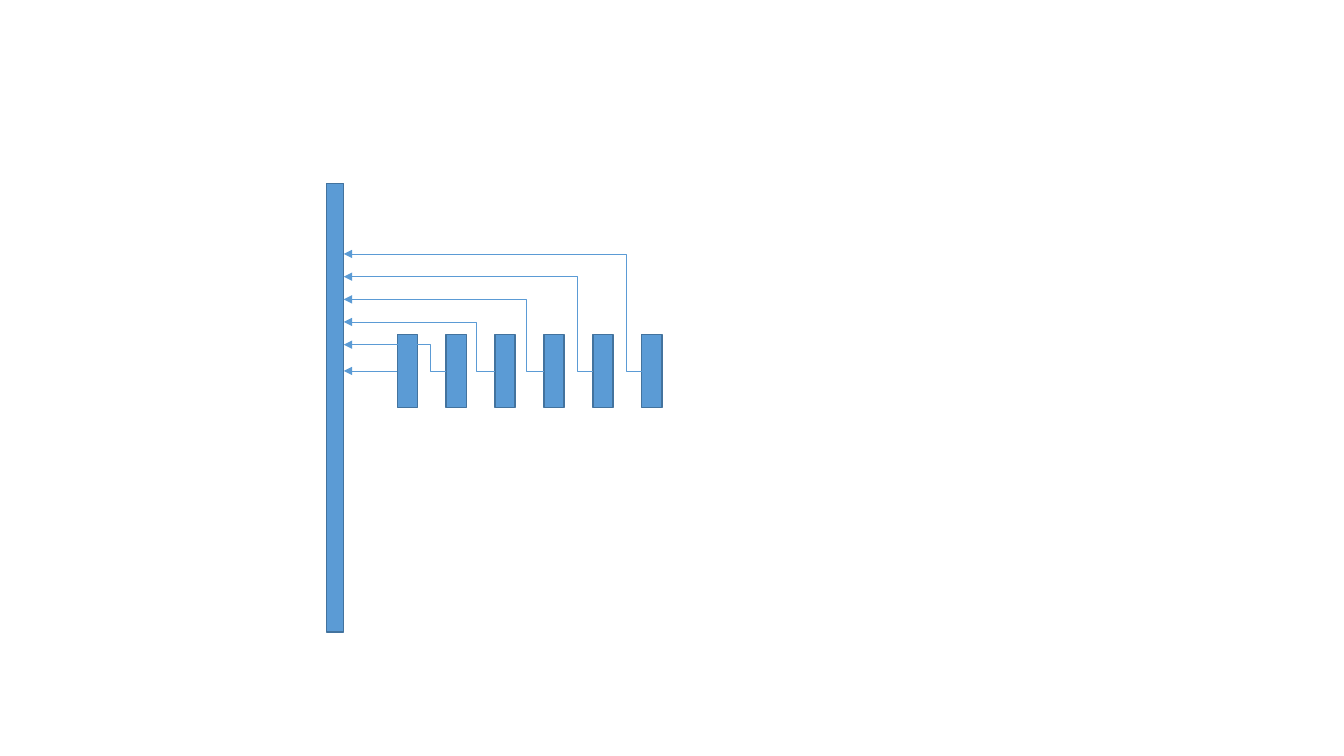
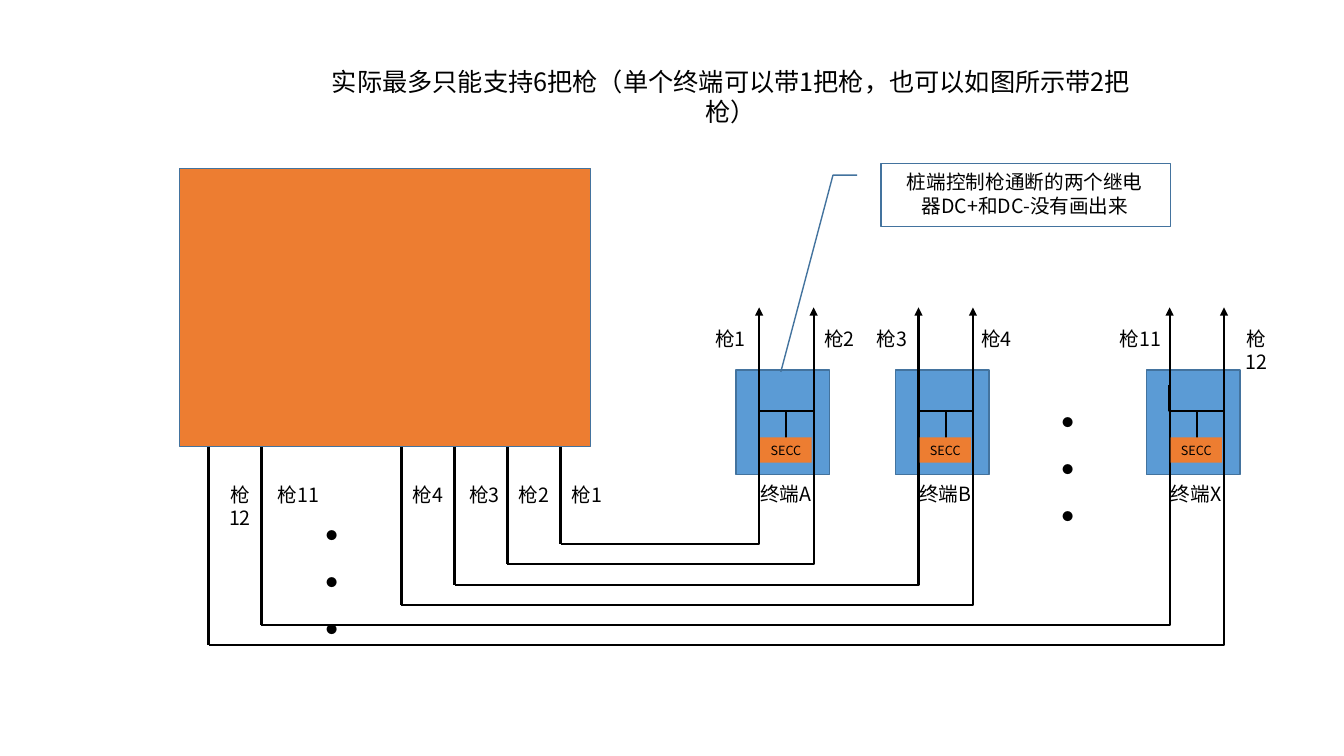
"""Build two slides: a bus with branch feeders and a charging cabinet with terminals."""
from collections import namedtuple
from dataclasses import dataclass

from pptx import Presentation
from pptx.dml.color import RGBColor
from pptx.enum import dml, shapes, text
from pptx.oxml import ns, xmlchemy
from pptx.util import Inches, Pt


@dataclass(frozen=True)
class Theme:
    """Colours, type sizes and line widths shared by the slides."""
    font: str = "Noto Sans CJK SC"
    ink: str = "000000"
    blue: str = "5B9BD5"
    edge: str = "43739E"
    orange: str = "ED7D31"
    title: int = 18
    label: int = 14
    small: int = 9
    dots: int = 28
    feeder: float = 0.5
    outline: float = 1
    wire: float = 1.5
    riser: float = 2.25


THEME = Theme()
Box = namedtuple("Box", "x y w h")
Gun = namedtuple("Gun", "name width port cabinet_label terminal_label")
Terminal = namedtuple("Terminal", "name x guns")

TERMINALS = (
    Terminal("终端A", 7.3, (
        Gun("枪1", 0.53, 3.78, 3.78, -0.32),
        Gun("枪2", 0.53, 3.25, 3.25, 0.76))),
    Terminal("终端B", 8.88, (
        Gun("枪3", 0.53, 2.73, 2.76, -0.3),
        Gun("枪4", 0.53, 2.2, 2.2, 0.74))),
    Terminal("终端X", 11.37, (
        Gun("枪11", 0.68, 0.81, 0.84, -0.4),
        Gun("枪12", 0.6, 0.29, 0.3, 0.79))),
)
TAPS = (0.23, 0.77)


def inches(*lengths):
    """Turn plain numbers into lengths."""
    return [Inches(length) for length in lengths]


def add_text(page, box, words, size=THEME.label, color=THEME.ink, bold=False, shape=None):
    """Write centred text in a new text box, or in the given shape."""
    holder = shape or page.shapes.add_textbox(*inches(*box))
    frame = holder.text_frame
    frame.word_wrap = True
    frame.auto_size = text.MSO_AUTO_SIZE.SHAPE_TO_FIT_TEXT
    para = frame.paragraphs[0]
    para.alignment = text.PP_ALIGN.CENTER
    span = para.add_run()
    span.text = words
    span.font.name = THEME.font
    span.font.size = Pt(size)
    span.font.bold = bold
    span.font.color.rgb = RGBColor.from_string(color)
    east_asian = xmlchemy.OxmlElement("a:ea")
    east_asian.set("typeface", THEME.font)
    span.font.fill
    span.font._element.find(ns.qn("a:latin")).addnext(east_asian)
    return holder


def add_block(page, box, fill=THEME.blue, edge=THEME.edge, kind=shapes.MSO_SHAPE.RECTANGLE):
    """Draw a preset shape; None leaves out its fill or outline."""
    block = page.shapes.add_shape(kind, *inches(*box))
    block.shadow.inherit = False
    if fill:
        block.fill.solid()
        block.fill.fore_color.rgb = RGBColor.from_string(fill)
    else:
        block.fill.background()
    if edge:
        block.line.color.rgb = RGBColor.from_string(edge)
        block.line.width = Pt(THEME.outline)
    else:
        block.line.fill.background()
    return block


def add_line(page, start, end, color=THEME.ink, width=THEME.wire, arrow=False,
             preset="line", bend=None, turn=0):
    """Draw a straight or bent connector, optionally turned and with an arrowhead."""
    kind = shapes.MSO_CONNECTOR.STRAIGHT if preset == "line" else shapes.MSO_CONNECTOR.ELBOW
    line = page.shapes.add_connector(kind, *inches(*start, *end))
    line.line.color.rgb = RGBColor.from_string(color)
    line.line.width = Pt(width)
    line.line.dash_style = dml.MSO_LINE.SOLID
    props = line.element.spPr
    geometry = props.find(ns.qn("a:prstGeom"))
    geometry.set("prst", preset)
    if bend is not None:
        guide = xmlchemy.OxmlElement("a:gd")
        guide.set("name", "adj1")
        guide.set("fmla", f"val {round(bend * 100000)}")
        geometry.get_or_add_avLst().append(guide)
    if turn:
        props.find(ns.qn("a:xfrm")).set("rot", str(turn * 60000))
    if arrow:
        head = xmlchemy.OxmlElement("a:tailEnd")
        head.set("type", "triangle")
        props.find(ns.qn("a:ln")).append(head)
    props.append(xmlchemy.OxmlElement("a:effectLst"))
    return line


def add_drop(page, start, end):
    """Draw a connector that leaves and arrives vertically with a level middle."""
    (x1, y1), (x2, y2) = start, end
    mid_x, mid_y = (x1 + x2) / 2, (y1 + y2) / 2
    run, rise = (x2 - x1) / 2, (y2 - y1) / 2
    add_line(page, (mid_x - rise, mid_y + run), (mid_x + rise, mid_y - run),
             preset="bentConnector3", bend=0.5, turn=90)


def draw_feeders(page, box):
    """Draw the bus bar, its branch blocks and the arrows that feed it."""
    bus_right = box.x + 0.17
    axis = box.y + 1.86
    lefts = [box.x + 0.7 + 0.485 * index for index in range(6)]
    for left in lefts:
        add_block(page, Box(left, axis - 0.36, 0.2, 0.72))
    style = dict(color=THEME.blue, width=THEME.feeder, arrow=True)
    add_line(page, (lefts[0], axis), (bus_right, axis), **style)
    add_block(page, Box(box.x, box.y, 0.17, box.h))
    for index, (left, gap) in enumerate(zip(lefts[1:], (0.16, 0.18, 0.17, 0.15, 0.15))):
        lane = box.y + 1.6 - 0.225 * index
        add_line(page, (left, axis), (bus_right, lane), preset="bentConnector3",
                 bend=gap / (left - bus_right), **style)


def draw_wires(page, cabinet, terminal_y):
    """Run one wire from each cabinet port up through its terminal."""
    ends = [(gun, terminal.x + tap) for terminal in TERMINALS
            for gun, tap in zip(terminal.guns, TAPS)]
    bottom = cabinet.y + cabinet.h
    for index, (gun, tap_x) in enumerate(ends):
        port_x = cabinet.x + gun.port
        lane = bottom + 0.97 + 0.2 * index
        add_line(page, (port_x, bottom), (port_x, lane), width=THEME.riser)
        add_line(page, (port_x, lane), (tap_x, terminal_y - 0.62),
                 preset="bentConnector2", arrow=True)
        add_text(page, Box(cabinet.x + gun.cabinet_label, bottom + 0.31, gun.width, 0.34),
                 gun.name)


def draw_terminal(page, box, terminal):
    """Label a terminal and its guns and link its controller to both wires."""
    for gun in terminal.guns:
        add_text(page, Box(box.x + gun.terminal_label, box.y - 0.48, gun.width, 0.34), gun.name)
    add_text(page, Box(box.x + 0.09, box.y + box.h + 0.02, 0.81, 0.34), terminal.name)
    for tap in TAPS:
        add_drop(page, (box.x + tap, box.y + 0.15), (box.x + 0.5, box.y + 0.67))
    controller = Box(box.x + 0.24, box.y + 0.67, 0.51, 0.25)
    block = add_block(page, controller, fill=THEME.orange, edge=None)
    add_text(page, controller, "SECC", size=THEME.small, shape=block)


def draw_callout(page, box):
    """Draw the note whose leader points at the first terminal."""
    callout = add_block(page, box, fill=None, kind=shapes.MSO_SHAPE.LINE_CALLOUT_2)
    for index, value in enumerate((0.1875, -0.0833, 0.1875, -0.1667, 3.286, -0.347)):
        callout.adjustments[index] = value
    add_text(page, Box(box.x + 0.11, box.y + 0.02, 2.63, 0.57),
             "桩端控制枪通断的两个继电器DC+和DC-没有画出来")


def draw_charging(page, cabinet):
    """Draw the cabinet, its terminals, the wiring and the notes."""
    add_block(page, cabinet, fill=THEME.orange)
    boxes = [Box(terminal.x, cabinet.y + 2, 0.93, 1.04) for terminal in TERMINALS]
    for box in boxes:
        add_block(page, box)
    draw_wires(page, cabinet, boxes[0].y)
    for x, y in ((10.14, 3.9), (2.84, 5.02)):
        add_text(page, Box(x, y, 0.9, 0.57), "···", size=THEME.dots, bold=True)
    for box, terminal in zip(boxes, TERMINALS):
        draw_terminal(page, box, terminal)
    add_text(page, Box(3.01, 0.61, 8.48, 0.4),
             "实际最多只能支持6把枪（单个终端可以带1把枪，也可以如图所示带2把枪）",
             size=THEME.title)
    draw_callout(page, Box(8.74, 1.62, 2.87, 0.63))


def main():
    """Build and save the deck."""
    deck = Presentation()
    deck.slide_width, deck.slide_height = inches(13.33, 7.5)
    blank = deck.slide_layouts[6]
    draw_feeders(deck.slides.add_slide(blank), Box(3.24, 1.82, 3.32, 4.45))
    draw_charging(deck.slides.add_slide(blank), Box(1.78, 1.67, 4.08, 2.76))
    deck.save("out.pptx")


if __name__ == "__main__":
    main()
